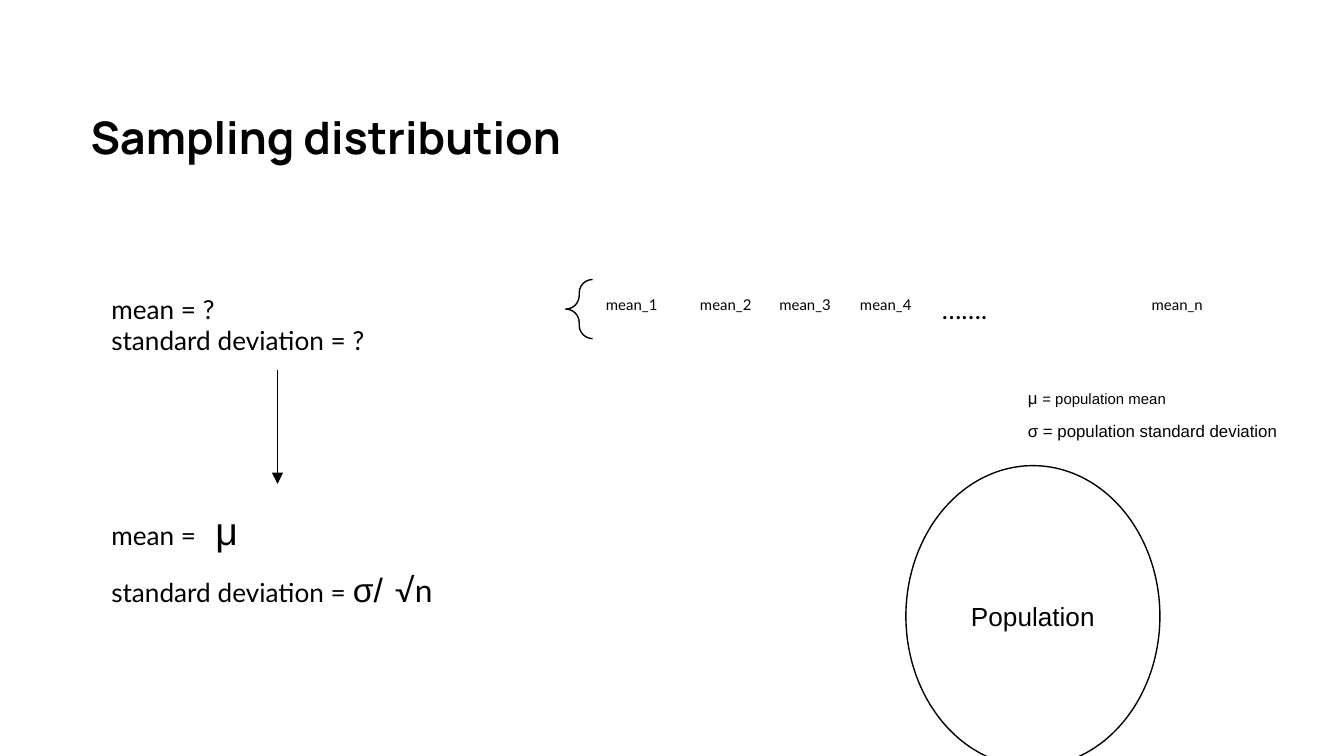
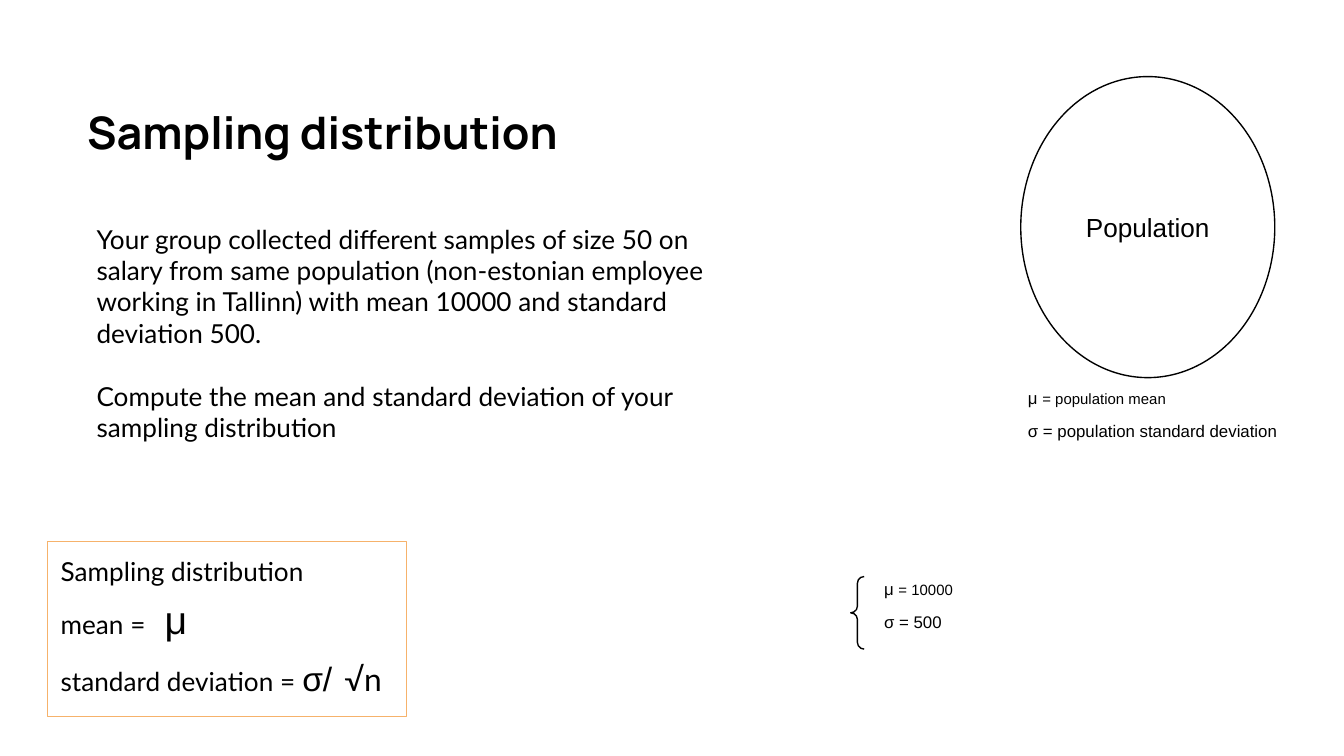
from lxml import etree
from pptx import Presentation, util as u
from pptx.dml.color import RGBColor
from pptx.enum import shapes, text
from pptx.oxml.ns import qn

COLORS = {"ink": "000000", "paper": "FFFFFF", "frame": "F6B26B"}
CELL = u.Inches(0.1)  # square grid: 100 columns by 56.25 rows
LINE = u.Pt(0.75)

deck = Presentation()
deck.slide_width, deck.slide_height = 100 * CELL, round(56.25 * CELL)
theory, exercise = [deck.slides.add_slide(deck.slide_layouts[6]) for _ in range(2)]


def add_outline(slide, kind, at, line="ink", fill=None):
    """Add an outlined preset shape; at is left, top, width, height in grid cells."""
    shape = slide.shapes.add_shape(kind, *[round(n * CELL) for n in at])
    shape.shadow.inherit = False
    shape.line.color.rgb = RGBColor.from_string(COLORS[line])
    shape.line.width = LINE
    if fill:
        shape.fill.solid()
        shape.fill.fore_color.rgb = RGBColor.from_string(COLORS[fill])
    else:
        shape.fill.background()
    return shape


def write(slide, lines, at=None, host=None, size=14, font="Lato", bold=False,
          align="LEFT", anchor="TOP", grow=True, gap=0):
    """Write lines into host or a new text box; a line is a string or (text, size, font) runs."""
    host = host or slide.shapes.add_textbox(*[round(n * CELL) for n in at])
    frame = host.text_frame
    frame.word_wrap = True
    frame.auto_size = getattr(text.MSO_AUTO_SIZE, "SHAPE_TO_FIT_TEXT" if grow else "NONE")
    frame.vertical_anchor = getattr(text.MSO_ANCHOR, anchor)
    frame.margin_left = frame.margin_right = frame.margin_top = frame.margin_bottom = CELL
    for i, line in enumerate(lines):
        paragraph = frame.add_paragraph() if i else frame.paragraphs[0]
        paragraph.alignment = getattr(text.PP_ALIGN, align)
        if gap and i:
            paragraph.space_before = u.Pt(gap)
        for words, run_size, face in [(line, size, font)] if isinstance(line, str) else line:
            run = paragraph.add_run()
            run.text = words
            run.font.size, run.font.name, run.font.bold = u.Pt(run_size), face, bold
            run.font.color.rgb = RGBColor.from_string(COLORS["ink"])
    return host


# Title and population on both slides
for slide, title_at, population_at in [
    (theory, (5.75, 7.15, 56.8, 8.4), (67.4, 34.65, 18.9, 22.4)),
    (exercise, (5.5, 6.8, 56.8, 8.4), (75.95, 5.7, 18.9, 22.4)),
]:
    write(slide, ["Sampling distribution"], title_at, size=24, font="Manrope", bold=True, grow=False)
    population = add_outline(slide, shapes.MSO_SHAPE.OVAL, population_at, fill="paper")
    write(slide, ["Population"], host=population, font="Arial", align="CENTER",
          anchor="MIDDLE", grow=False)

# Population parameters: the mean above the deviation
for slide, left, top, mean, deviation in [
    (theory, 75.5, 28.1, "= population mean", "σ = population standard deviation"),
    (exercise, 75.5, 28.1, "= population mean", "σ = population standard deviation"),
    (exercise, 64.8, 42.3, "= 10000", "σ = 500"),
]:
    write(slide, [deviation], (left, top + 2.45, 23.2, 3.5), size=9, font="Arial")
    write(slide, [[("μ ", 9, "Arial"), (mean, 8, "Arial")]], (left, top, 23.2, 3.5))

# Braces
for slide, at in [(theory, (42.1, 20.8, 2, 4.4)), (exercise, (63.3, 42.9, 1, 5.4))]:
    brace = add_outline(slide, shapes.MSO_SHAPE.LEFT_BRACE, at)
    brace.adjustments[0] = brace.adjustments[1] = 0.5

# Slide 1: sample means, then from question to result
for index, left in [("1", 44.1), ("2", 51.1), ("3", 57), ("4", 63), ("n", 84.7)]:
    write(theory, [f"mean_{index}"], (left, 21.3, 5.9, 3.4), size=8)
write(theory, ["……."], (69.1, 20.8, 15.6, 4.4))

formulas = [
    [("mean = ", 14, "Lato"), (" ", 26, "Lato"), ("μ", 21, "Arial")],
    [("standard deviation = ", 14, "Lato"), ("σ/", 18, "Arial"),
     (" ", 25, "Lato"), ("√n", 17, "Lato")],
]
question = write(theory, ["mean = ?", "standard deviation = ?"], (7.3, 20.8, 26.7, 6.7))
result = write(theory, formulas, (7.3, 36, 26.7, 10.6))

arrow = theory.shapes.add_connector(shapes.MSO_CONNECTOR.STRAIGHT, 0, 0, 0, 0)
arrow.begin_connect(question, 2)
arrow.end_connect(result, 0)
arrow.line.color.rgb = RGBColor.from_string(COLORS["ink"])
arrow.line.width = LINE
etree.SubElement(arrow._element.spPr.find(qn("a:ln")), qn("a:tailEnd"), type="triangle")
etree.SubElement(arrow._element.spPr, qn("a:effectLst"))

# Slide 2: the task and the formulas to use
write(exercise, [
    "Your group collected different samples of size 50 on salary from same population "
    "(non-estonian employee working in Tallinn) with mean 10000 and standard deviation 500.",
    "Compute the mean and standard deviation of your sampling distribution",
], (6.2, 15.6, 50.6, 18.5), gap=16.8)
reminder = add_outline(exercise, shapes.MSO_SHAPE.RECTANGLE, (3.53, 40.3, 26.7, 13), line="frame")
write(exercise, ["Sampling distribution", *formulas], host=reminder)

deck.save("out.pptx")
